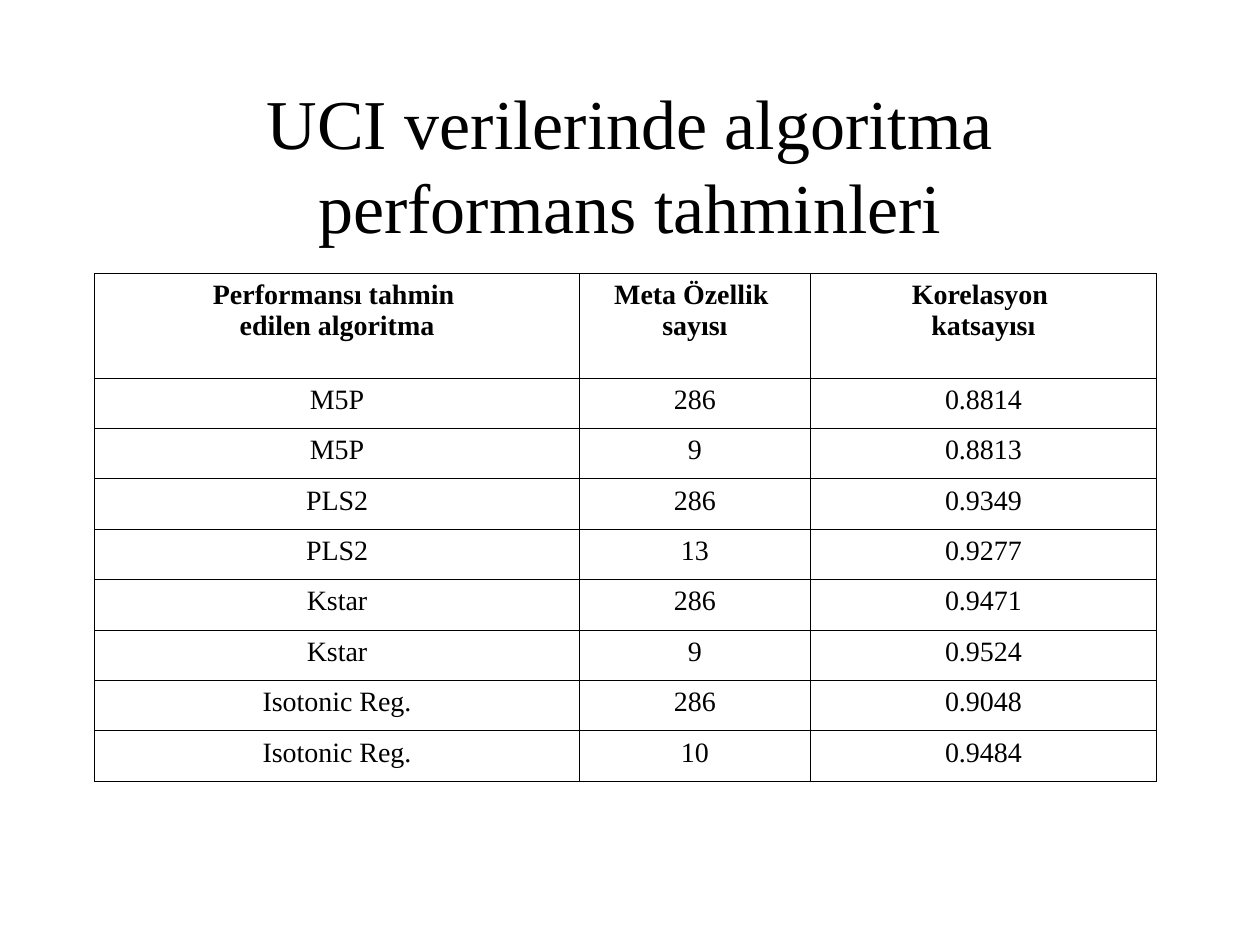
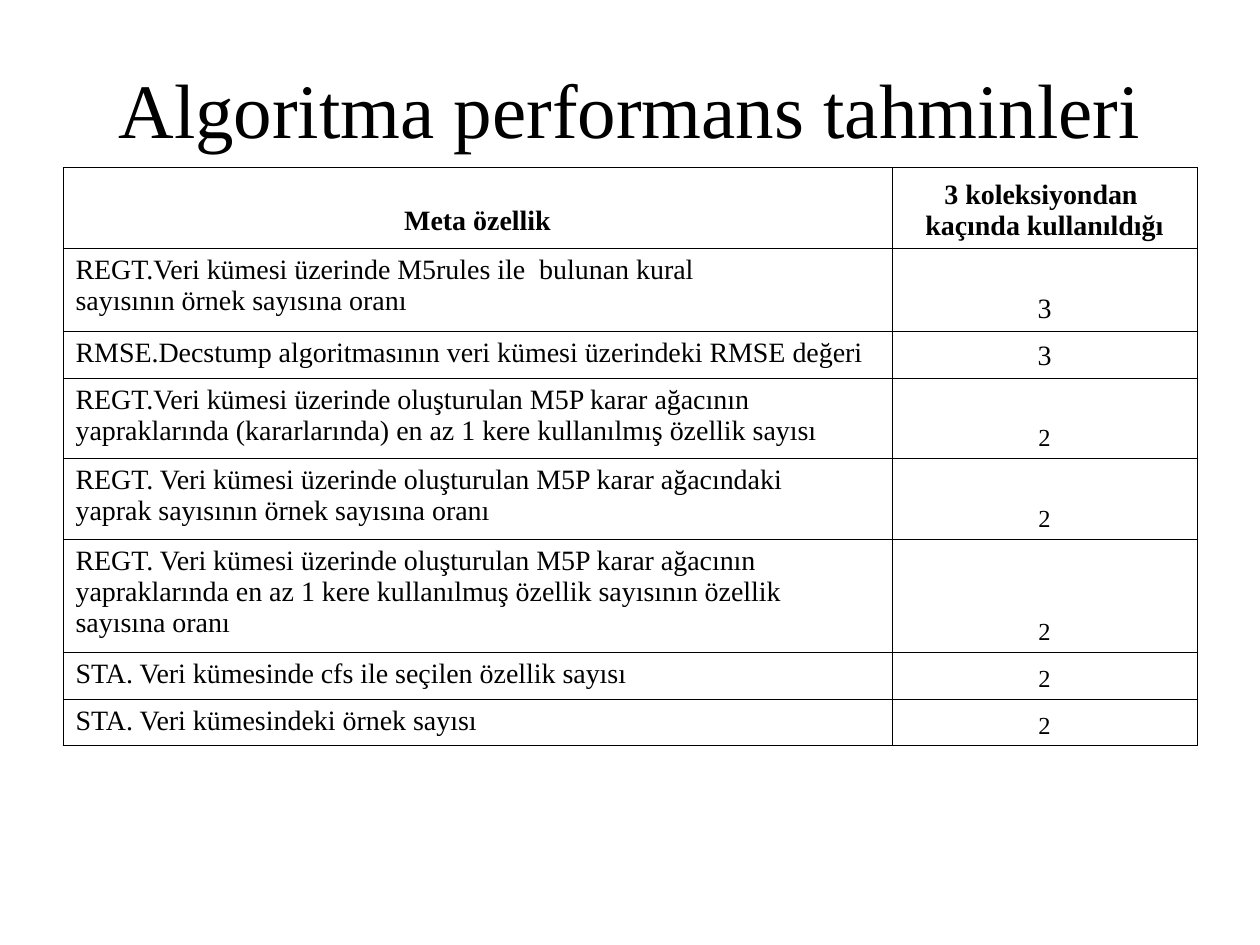
from lxml import etree
from pptx import Presentation
from pptx import util as u
from pptx.dml.color import RGBColor
from pptx.enum import text
from pptx.oxml import ns

BLACK = RGBColor(0, 0, 0)
FONT = "Times New Roman"
BORDER_WIDTH = u.Pt(0.45)
HANGING = u.Inches(0.38)
CENTER = text.PP_ALIGN.CENTER
JUSTIFY = text.PP_ALIGN.JUSTIFY
TOP = text.MSO_ANCHOR.TOP
BOTTOM = text.MSO_ANCHOR.BOTTOM


def add_text(paragraph, content, size, bold=False):
    run = paragraph.add_run()
    run.text = content
    run.font.name = FONT
    run.font.size = u.Pt(size)
    run.font.bold = bold
    run.font.color.rgb = BLACK


def add_borders(cell):
    properties = cell._tc.get_or_add_tcPr()
    for side in ("a:lnL", "a:lnR", "a:lnT", "a:lnB"):
        line = etree.SubElement(properties, ns.qn(side), w=str(int(BORDER_WIDTH)))
        fill = etree.SubElement(line, ns.qn("a:solidFill"))
        etree.SubElement(fill, ns.qn("a:srgbClr"), val=str(BLACK))


performance_rows = [
    ("Performansı tahmin \nedilen algoritma", "Meta Özellik \nsayısı", "Korelasyon \nkatsayısı"),
    ("M5P", "286", "0.8814"),
    ("M5P", "9", "0.8813"),
    ("PLS2", "286", "0.9349"),
    ("PLS2", "13", "0.9277"),
    ("Kstar", "286", "0.9471"),
    ("Kstar", "9", "0.9524"),
    ("Isotonic Reg.", "286", "0.9048"),
    ("Isotonic Reg.", "10", "0.9484"),
]
feature_rows = [
    ("Meta özellik", "3 koleksiyondan \nkaçında kullanıldığı"),
    ("REGT.Veri kümesi üzerinde M5rules ile  bulunan kural \n"
     "sayısının örnek sayısına oranı ", "3"),
    ("RMSE.Decstump algoritmasının veri kümesi üzerindeki RMSE değeri", "3"),
    ("REGT.Veri kümesi üzerinde oluşturulan M5P karar ağacının \n"
     "yapraklarında (kararlarında) en az 1 kere kullanılmış özellik sayısı ", "2"),
    ("REGT. Veri kümesi üzerinde oluşturulan M5P karar ağacındaki \n"
     "yaprak sayısının örnek sayısına oranı ", "2"),
    ("REGT. Veri kümesi üzerinde oluşturulan M5P karar ağacının \n"
     "yapraklarında en az 1 kere kullanılmuş özellik sayısının özellik \n"
     "sayısına oranı ", "2"),
    ("STA. Veri kümesinde cfs ile seçilen özellik sayısı", "2"),
    ("STA. Veri kümesindeki örnek sayısı", "2"),
]

pages = [
    dict(title="UCI verilerinde algoritma performans tahminleri", title_size=40, title_top=0.67,
         left=0.75, top=2.17, columns=[3.85, 1.83, 2.75], heights=[0.83] + [0.4] * 8,
         rows=performance_rows, alignments=[CENTER] * 3, anchors=[TOP] * 3),
    dict(title="Algoritma performans tahminleri", title_size=44, title_top=0.23,
         left=0.5, top=1.33, columns=[6.58, 2.42],
         heights=[0.64, 0.66, 0.37, 0.64, 0.64, 0.9, 0.37, 0.37],
         rows=feature_rows, alignments=[JUSTIFY, CENTER], anchors=[TOP, BOTTOM]),
]

presentation = Presentation()
presentation.slide_width = u.Inches(10)
presentation.slide_height = u.Inches(7.5)

for page in pages:
    slide = presentation.slides.add_slide(presentation.slide_layouts[5])
    title = slide.shapes.title
    title.left, title.top = u.Inches(0.75), u.Inches(page["title_top"])
    title.width, title.height = u.Inches(8.5), u.Inches(1.25)
    title.text_frame.auto_size = text.MSO_AUTO_SIZE.NONE
    title.text_frame.word_wrap = True
    title.text_frame.vertical_anchor = text.MSO_ANCHOR.MIDDLE
    title.text_frame.paragraphs[0].alignment = CENTER
    add_text(title.text_frame.paragraphs[0], page["title"], page["title_size"])

    columns, heights, rows = page["columns"], page["heights"], page["rows"]
    table = slide.shapes.add_table(
        len(rows), len(columns), u.Inches(page["left"]), u.Inches(page["top"]),
        u.Inches(sum(columns)), u.Inches(sum(heights))).table
    table.first_row = table.horz_banding = False
    for column, width in zip(table.columns, columns):
        column.width = u.Inches(width)
    for row, height in zip(table.rows, heights):
        row.height = u.Inches(height)

    for row_index, values in enumerate(rows):
        is_header = row_index == 0
        for column_index, value in enumerate(values):
            cell = table.cell(row_index, column_index)
            add_borders(cell)
            cell.fill.background()
            cell.vertical_anchor = page["anchors"][column_index]
            cell.margin_left = cell.margin_right = u.Inches(0.1)
            cell.margin_bottom = u.Inches(0.05)
            cell.margin_top = u.Inches(0.3 if value == "Meta özellik" else 0.05)
            for line_index, content in enumerate(value.split("\n")):
                frame = cell.text_frame
                paragraph = frame.add_paragraph() if line_index else frame.paragraphs[0]
                paragraph.alignment = CENTER if is_header else page["alignments"][column_index]
                properties = paragraph._p.get_or_add_pPr()
                properties.set("marL", str(int(HANGING)))
                properties.set("indent", str(-int(HANGING)))
                add_text(paragraph, content, 14 if value == "2" else 16, is_header)

presentation.save("out.pptx")
